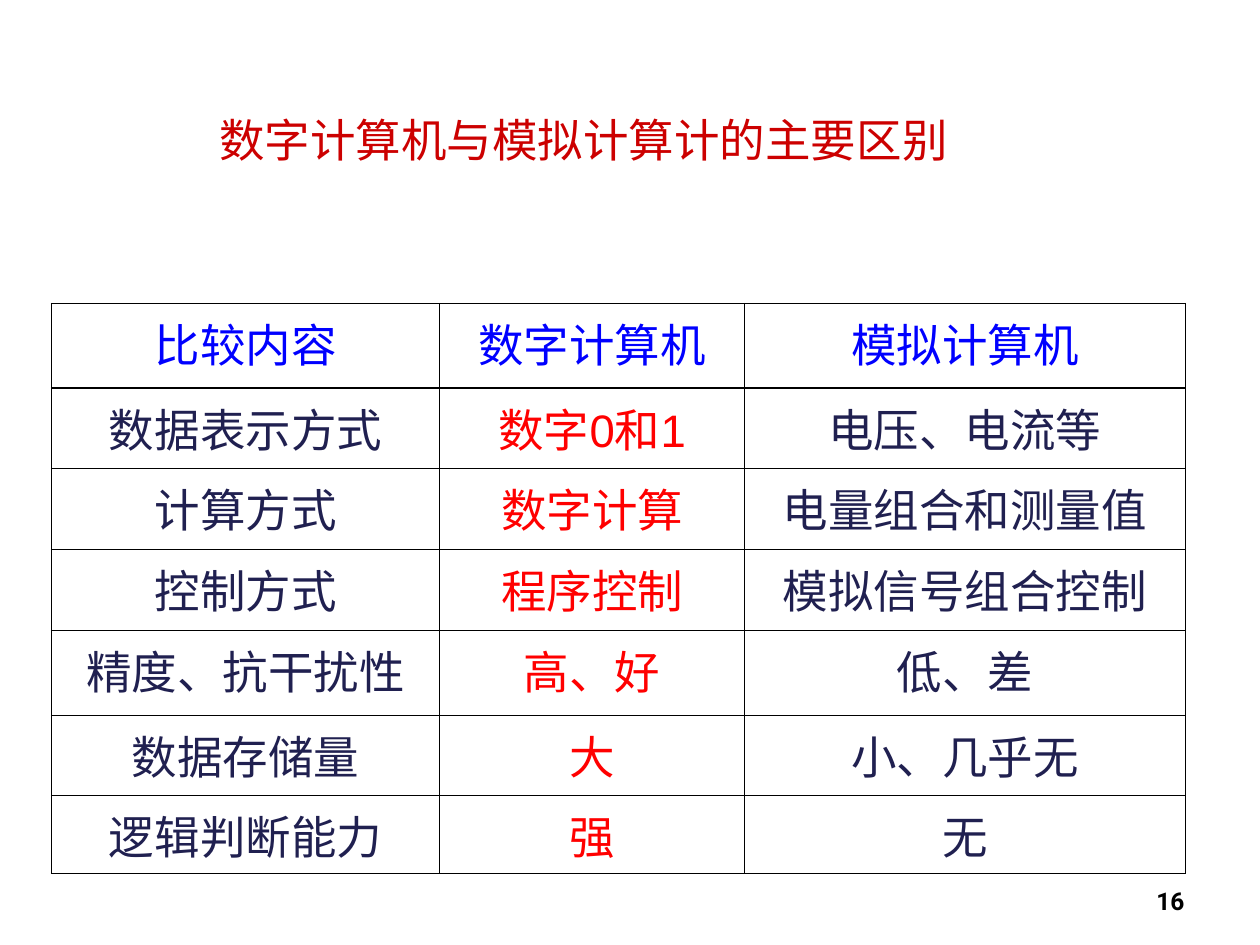
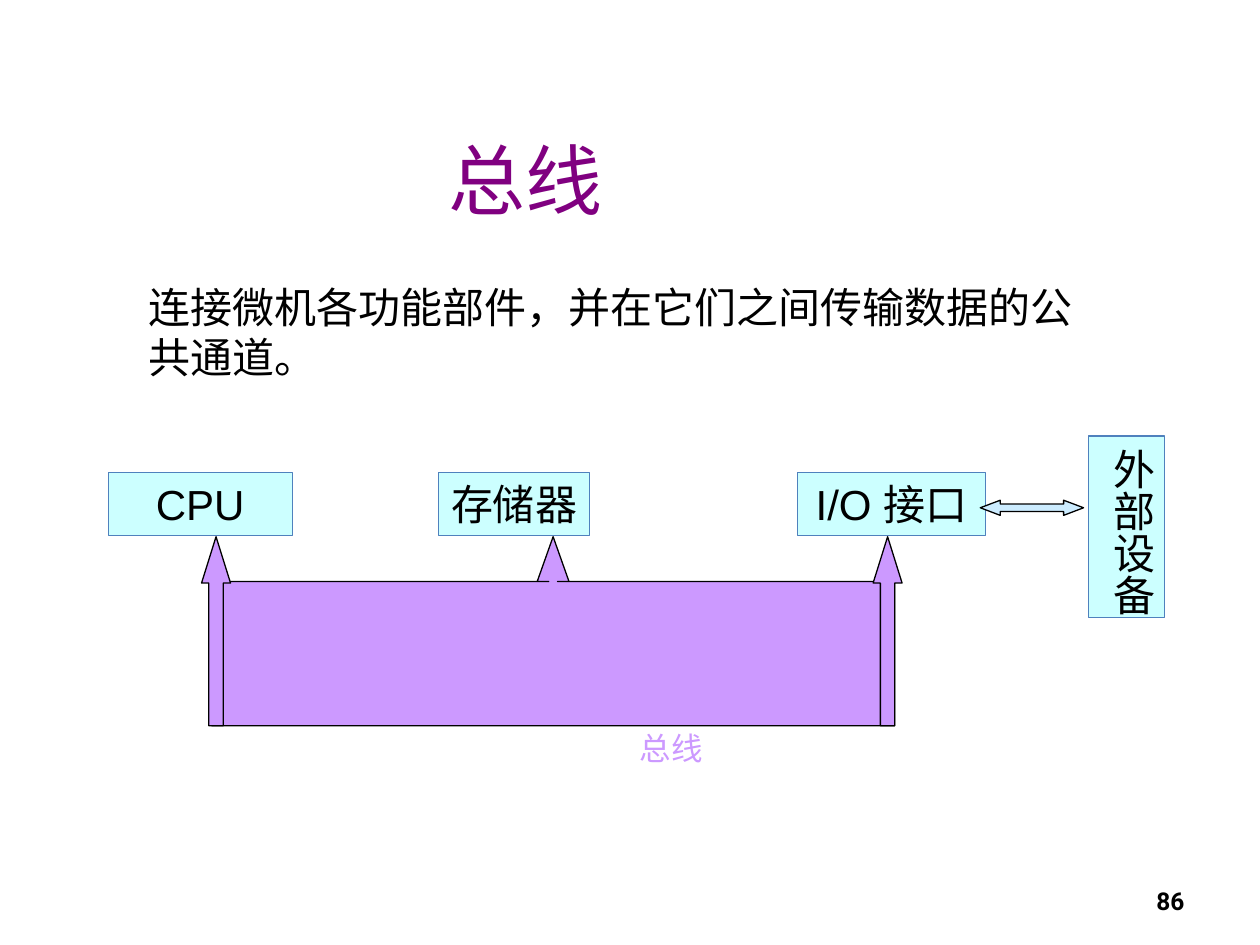
from lxml import etree
from pptx import Presentation
from pptx.dml.color import RGBColor
from pptx.enum.shapes import MSO_SHAPE
from pptx.enum.text import MSO_ANCHOR, MSO_AUTO_SIZE, PP_ALIGN
from pptx.oxml.ns import qn
from pptx.util import Inches, Pt

BLACK = RGBColor(0x00, 0x00, 0x00)
WHITE = RGBColor(0xFF, 0xFF, 0xFF)
CRIMSON = RGBColor(0xCC, 0x00, 0x00)
RED = RGBColor(0xFF, 0x00, 0x00)
BLUE = RGBColor(0x00, 0x00, 0xFF)
NAVY = RGBColor(0x20, 0x20, 0x50)
PURPLE = RGBColor(0x80, 0x00, 0x80)
BUS = RGBColor(0xCC, 0x99, 0xFF)
UNIT_FILL = RGBColor(0xCC, 0xFF, 0xFF)
UNIT_LINE = RGBColor(0x4F, 0x81, 0xBD)
LINK_FILL = RGBColor(0xCC, 0xEC, 0xFF)

CJK = "Noto Sans CJK SC"
THIN, THICK = 0.45, 1.08

COMPARISON = [
    ("比较内容", "数字计算机", "模拟计算机"),
    ("数据表示方式", "数字0和1", "电压、电流等"),
    ("计算方式", "数字计算", "电量组合和测量值"),
    ("控制方式", "程序控制", "模拟信号组合控制"),
    ("精度、抗干扰性", "高、好", "低、差"),
    ("数据存储量", "大", "小、几乎无"),
    ("逻辑判断能力", "强", "无"),
]
COL_WIDTHS = (3.08, 2.42, 3.5)
ROW_HEIGHTS = (0.67, 0.64, 0.64, 0.64, 0.68, 0.63, 0.6)


def write(tf, text, size, color, font="Arial", align=PP_ALIGN.LEFT, bold=False):
    p = tf.paragraphs[0]
    r = p.add_run()
    r.text = text
    p.alignment = align
    p.font.size, p.font.name, p.font.bold = Pt(size), font, bold
    p.font.color.rgb = color
    if font == CJK:
        ea = etree.SubElement(r._r.get_or_add_rPr(), qn("a:ea"))
        ea.set("typeface", font)
    return p


def place(s, box):
    s.left, s.top, s.width, s.height = map(Inches, box)


def add_title_slide(prs, title, box, size, color, font, align, anchor):
    s = prs.slides.add_slide(prs.slide_layouts[5])
    sp = s.shapes.title
    place(sp, box)
    tf = sp.text_frame
    tf.auto_size = MSO_AUTO_SIZE.NONE
    tf.vertical_anchor = anchor
    tf.margin_top = tf.margin_bottom = 0
    write(tf, title, size, color, font, align)
    return s


def add_text(s, box, text, size, color, font="Arial", align=PP_ALIGN.LEFT,
             bold=False, anchor=MSO_ANCHOR.TOP):
    tf = s.shapes.add_textbox(*map(Inches, box)).text_frame
    tf.word_wrap = True
    tf.vertical_anchor = anchor
    return write(tf, text, size, color, font, align, bold)


def add_page_number(s, number):
    add_text(s, (7.17, 6.95, 2.33, 0.4), str(number), 14, BLACK, "Roboto",
             PP_ALIGN.RIGHT, True, MSO_ANCHOR.MIDDLE)


def add_preset(s, kind, box, fill, line=BLACK, adjustments=()):
    sp = s.shapes.add_shape(kind, *map(Inches, box))
    sp.shadow.inherit = False
    sp.fill.solid()
    sp.fill.fore_color.rgb = fill
    sp.line.color.rgb = line
    sp.line.width = Pt(0.75)
    for i, value in enumerate(adjustments):
        sp.adjustments[i] = value
    return sp


def add_unit(s, box, text, vertical=False):
    sp = add_preset(s, MSO_SHAPE.RECTANGLE, box, UNIT_FILL, UNIT_LINE)
    tf = sp.text_frame
    tf.word_wrap = False
    tf.vertical_anchor = MSO_ANCHOR.MIDDLE
    if vertical:
        tf.vertical_anchor = MSO_ANCHOR.TOP
        tf.margin_left = tf.margin_right = Inches(0.05)
        tf.margin_top = tf.margin_bottom = Inches(0.1)
        tf._txBody.bodyPr.set("vert", "eaVert")
    write(tf, text, 24, BLACK, align=PP_ALIGN.CENTER)


def set_borders(cell, widths):
    """Draw left, right, top and bottom borders with the given point widths."""
    tcPr = cell._tc.get_or_add_tcPr()
    for i, (side, width) in enumerate(zip("LRTB", widths)):
        ln = etree.Element(qn(f"a:ln{side}"), w=str(Pt(width)))
        fill = etree.SubElement(ln, qn("a:solidFill"))
        etree.SubElement(fill, qn("a:srgbClr"), val=str(BLACK))
        tcPr.insert(i, ln)


def add_comparison_table(s):
    n_rows, n_cols = len(COMPARISON), len(COL_WIDTHS)
    table = s.shapes.add_table(n_rows, n_cols, Inches(0.41), Inches(2.41),
                               Inches(sum(COL_WIDTHS)),
                               Inches(sum(ROW_HEIGHTS))).table
    table.first_row = table.horz_banding = False
    for col, width in zip(table.columns, COL_WIDTHS):
        col.width = Inches(width)
    for row, height in zip(table.rows, ROW_HEIGHTS):
        row.height = Inches(height)
    for i, texts in enumerate(COMPARISON):
        for j, text in enumerate(texts):
            cell = table.cell(i, j)
            cell.fill.solid()
            cell.fill.fore_color.rgb = WHITE
            color = BLUE if i == 0 else RED if j == 1 else NAVY
            write(cell.text_frame, text, 26, color, align=PP_ALIGN.CENTER)
            # Outer frame and header rule are thick
            thick = (j == 0, j == n_cols - 1, i <= 1, i in (0, n_rows - 1))
            set_borders(cell, [THICK if t else THIN for t in thick])


def build_comparison(prs):
    s = add_title_slide(prs, "数字计算机与模拟计算计的主要区别",
                        (1.64, 0.89, 6.59, 0.65), 26, CRIMSON, "Calibri",
                        PP_ALIGN.LEFT, MSO_ANCHOR.TOP)
    add_comparison_table(s)
    add_page_number(s, 16)


def build_bus(prs):
    s = add_title_slide(prs, "总线", (1.33, 1, 5.68, 0.83), 44, PURPLE, CJK,
                        PP_ALIGN.CENTER, MSO_ANCHOR.MIDDLE)
    p = add_text(s, (1.08, 2.19, 7.75, 0.9),
                 "连接微机各功能部件，并在它们之间传输数据的公共通道。",
                 24, BLACK, CJK)
    p.line_spacing = Pt(28.5)

    # Units on the bus
    for left, width, name in ((0.86, 1.46, "CPU"), (3.48, 1.2, "存储器"),
                              (6.33, 1.49, "I/O 接口")):
        add_unit(s, (left, 3.75, width, 0.5), name)

    # Bus body with its three arrows
    add_preset(s, MSO_SHAPE.UP_ARROW_CALLOUT, (1.68, 4.26, 5.42, 1.5), BUS,
               adjustments=(0.046, 0.084, 0.237, 1.778))
    for left in (1.6, 6.93):
        add_preset(s, MSO_SHAPE.UP_ARROW, (left, 4.26, 0.23, 1.5), BUS,
                   adjustments=(0.5, 1.6))
    add_text(s, (4.98, 5.74, 1.2, 0.4), "总线", 18, BUS)

    # External device
    add_preset(s, MSO_SHAPE.LEFT_RIGHT_ARROW, (7.78, 3.97, 0.82, 0.12),
               LINK_FILL, adjustments=(0.5, 1.32))
    add_unit(s, (8.64, 3.46, 0.6, 1.44), "外部设备", vertical=True)
    add_page_number(s, 86)


def main():
    prs = Presentation()
    prs.slide_width, prs.slide_height = Inches(10), Inches(7.5)
    build_comparison(prs)
    build_bus(prs)
    prs.save("out.pptx")


if __name__ == "__main__":
    main()
